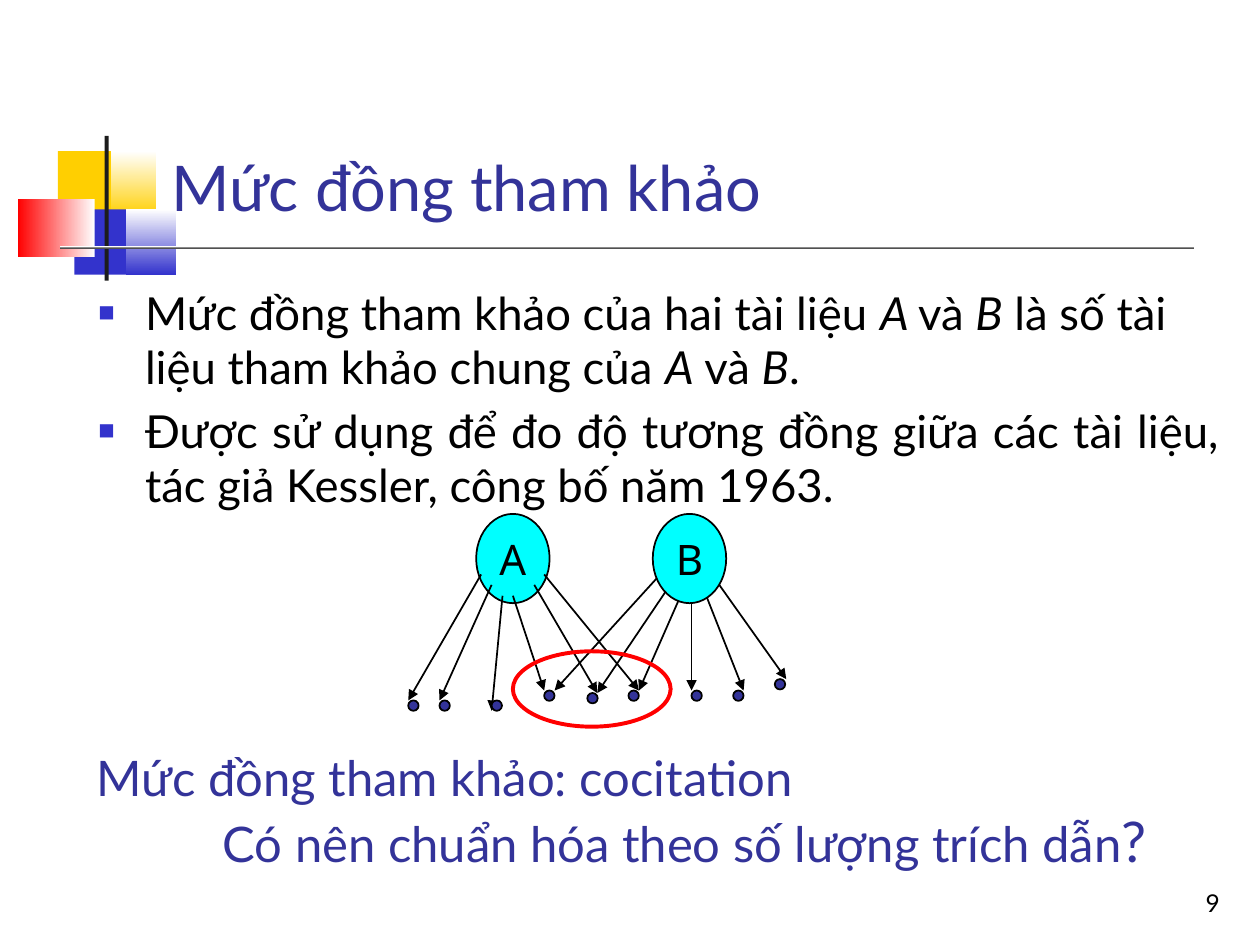
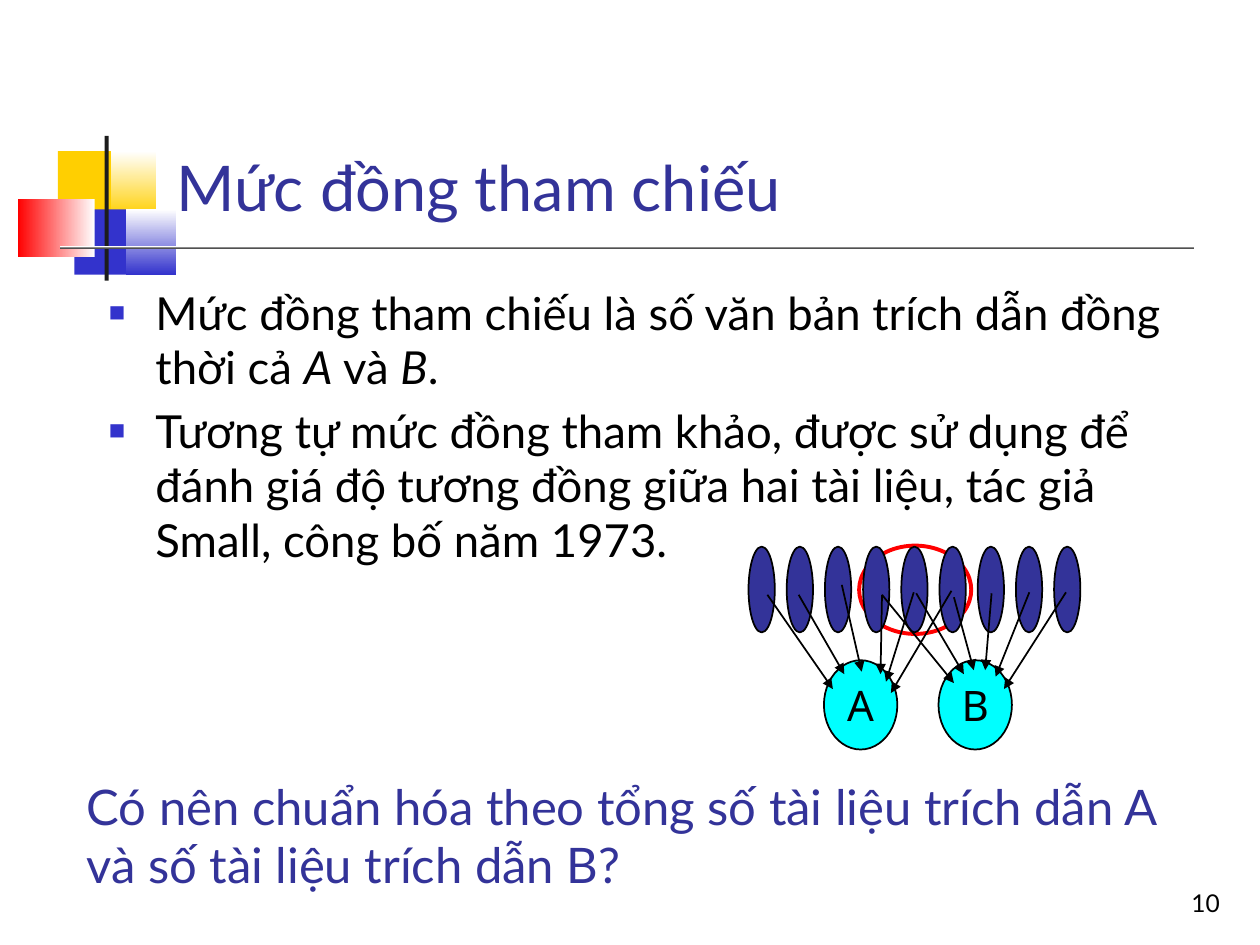
from dataclasses import dataclass
from lxml.etree import SubElement
from pptx import Presentation
from pptx.dml.color import RGBColor
from pptx.enum.shapes import MSO_CONNECTOR, MSO_SHAPE
from pptx.enum.text import MSO_ANCHOR, MSO_AUTO_SIZE, PP_ALIGN
from pptx.oxml.ns import qn
from pptx.util import Cm, Pt


@dataclass(frozen=True)
class Theme:
    font: str = "Lato"
    label_font: str = "Noto Sans"
    title: int = 36
    body: int = 26
    note: int = 28
    mark: int = 32
    label: int = 24
    number: int = 14
    black: str = "000000"
    white: str = "FFFFFF"
    navy: str = "333399"
    blue: str = "3333CC"
    gold: str = "FFCF01"
    red: str = "FF0000"
    cyan: str = "00FFFF"
    dark: str = "1C1C1C"


theme = Theme()


def draw(home, kind, box, fill=None, edge=None, width=1):
    """Add a preset shape; box is left, top, width, height in cm."""
    shape = home.add_shape(kind, *map(Cm, box))
    shape.shadow.inherit = False
    if fill:
        shape.fill.solid()
        shape.fill.fore_color.rgb = RGBColor.from_string(fill)
    else:
        shape.fill.background()
    if edge:
        shape.line.color.rgb = RGBColor.from_string(edge)
        shape.line.width = Pt(width)
    else:
        shape.line.fill.background()
    return shape


def write(para, text, size, color=theme.black, font=theme.font, italic=False):
    """Add one run to a paragraph."""
    run = para.add_run()
    run.text = text
    run.font.name = font
    run.font.size = Pt(size)
    run.font.italic = italic
    run.font.color.rgb = RGBColor.from_string(color)


# Circles for the two documents, as they sit on each slide
ref_a = (9.6, 10.36, 1.48, 1.8, "A")
ref_b = (13.16, 10.36, 1.48, 1.8, "B")
cite_a = (16.61, 13.31, 1.48, 1.8, "A")
cite_b = (18.92, 13.31, 1.48, 1.8, "B")

# Small ovals: dots for cited works, a row of ovals for citing works
dots = [(x, y, 0.21, 0.21) for x, y in (
    (8.23, 14.12), (8.86, 14.12), (9.91, 14.12),
    (10.97, 13.92), (11.84, 13.97), (12.67, 13.92),
    (13.94, 13.92), (14.78, 13.92), (15.62, 13.69))]
row = [(15.09 + 0.77 * i, 11.02, 0.53, 1.73) for i in range(9)]

# Body runs alternate between upright and italic
pages = [
    dict(
        number="9",
        title="Mức đồng tham khảo",
        title_box=(3.2, 0.58, 21.64, 4.06),
        body_box=(1.7, 5.61, 23.16, 5.13),
        body=[
            (PP_ALIGN.LEFT, ["Mức đồng tham khảo của hai tài liệu ", "A ", "và ", "B",
                             " là số tài liệu tham khảo chung của ", "A", " và ", "B", "."]),
            (PP_ALIGN.JUSTIFY, ["Được sử dụng để đo độ tương đồng giữa các tài liệu, "
                                "tác giả Kessler, công bố năm 1963."]),
        ],
        under=[ref_a],
        over=[ref_b],
        ring=(10.34, 13.13, 3.18, 1.52),
        works=dots,
        works_last=True,
        arrows=[
            (10.77, 11.79, 12.04, 13.97), (10.34, 12.01, 10.97, 13.92),
            (10.13, 12.01, 9.91, 14.33), (9.91, 11.79, 8.86, 14.12),
            (13.31, 11.58, 11.18, 13.92), (13.51, 11.79, 12.04, 13.97),
            (13.94, 12.01, 13.94, 13.92), (14.15, 11.79, 14.99, 13.92),
            (14.35, 11.58, 15.85, 13.69), (13.72, 12.01, 12.88, 13.92),
            (10.97, 11.58, 12.88, 13.92), (9.7, 11.58, 8.23, 14.12)],
        note_box=(1.7, 14.94, 23.14, 2.79),
        note=[
            (0, [("Mức đồng tham khảo: cocitation", theme.note)]),
            (2.54, [("Có nên chuẩn hóa theo số lượng trích dẫn", theme.note),
                    ("?", theme.mark)]),
        ],
    ),
    dict(
        number="10",
        title="Mức đồng tham chiếu",
        title_box=(3.3, 0.58, 21.56, 4.06),
        body_box=(1.91, 5.61, 22.99, 4.85),
        body=[
            (PP_ALIGN.LEFT, ["Mức đồng tham chiếu là số văn bản trích dẫn đồng thời cả ",
                             "A", " và ", "B", "."]),
            (PP_ALIGN.LEFT, ["Tương tự mức đồng tham khảo, được sử dụng để đánh giá "
                             "độ tương đồng giữa hai tài liệu, tác giả Small, "
                             "công bố năm 1973."]),
        ],
        under=[cite_a, cite_b],
        over=[],
        ring=(17.32, 11, 2.26, 1.78),
        works=row,
        works_last=False,
        arrows=[
            (15.47, 11.99, 16.79, 13.89), (16.1, 11.99, 17.02, 13.59),
            (16.97, 11.79, 17.37, 13.54), (17.78, 11.99, 17.75, 13.59),
            (17.78, 11.99, 19.23, 13.77), (18.47, 11.96, 19.43, 13.59),
            (19.23, 12.04, 19.63, 13.51), (19.99, 11.96, 19.86, 13.51),
            (20.75, 11.94, 20.07, 13.64), (21.49, 11.94, 20.24, 13.89),
            (18.42, 11.94, 17.86, 13.74), (19.18, 11.91, 17.96, 13.97)],
        note_box=(1.5, 15.52, 22.4, 2.62),
        note=[
            (0, [("Có nên chuẩn hóa theo tổng số tài liệu trích dẫn A "
                  "và số tài liệu trích dẫn B?", theme.note)]),
        ],
    ),
]

# Bands: box, first colour, second colour, gradient angle
bands = [
    ((1.17, 3.05, 1.22, 1.32), theme.gold, None, 0),
    ((2.24, 3.05, 0.91, 1.32), theme.gold, theme.white, 90),
    ((1.5, 4.22, 1.17, 1.32), theme.blue, None, 0),
    ((2.54, 4.22, 1.02, 1.32), theme.blue, theme.white, 90),
    ((0.36, 4.01, 1.55, 1.17), theme.white, theme.red, 180),
    ((2.11, 2.74, 0.08, 2.92), theme.dark, None, 0),
    ((1.22, 4.95, 22.86, 0.08), theme.dark, theme.white, 90),
]

deck = Presentation()
deck.slide_width, deck.slide_height = Cm(25.4), Cm(19.05)
layout = deck.slide_layouts[1]

for page in pages:
    slide = deck.slides.add_slide(layout)

    # Bands are drawn once and moved to the shared layout
    if page is pages[0]:
        for box, first, second, angle in bands:
            band = draw(slide.shapes, MSO_SHAPE.RECTANGLE, box, first)
            if second:
                band.fill.gradient()
                band.fill.gradient_angle = angle
                for stop, color in zip(band.fill.gradient_stops, (first, second)):
                    stop.color.rgb = RGBColor.from_string(color)
                band.fill.gradient_stops[0].position = 0
                band.fill.gradient_stops[1].position = 1
            layout.shapes.element.append(band.element)

    # Slide number
    box = slide.shapes.add_textbox(*map(Cm, (19.56, 17.35, 5.28, 1.27)))
    frame = box.text_frame
    frame.word_wrap = True
    frame.vertical_anchor = MSO_ANCHOR.BOTTOM
    frame.paragraphs[0].alignment = PP_ALIGN.RIGHT
    write(frame.paragraphs[0], page["number"], theme.number)

    # Title
    title, body = slide.shapes.title, slide.placeholders[1]
    for holder, key in ((title, "title_box"), (body, "body_box")):
        holder.left, holder.top, holder.width, holder.height = map(Cm, page[key])
        holder.text_frame.auto_size = MSO_AUTO_SIZE.NONE
    title.text_frame.vertical_anchor = MSO_ANCHOR.BOTTOM
    para = title.text_frame.paragraphs[0]
    para.alignment = PP_ALIGN.LEFT
    write(para, page["title"], theme.title, theme.navy)

    # Bulleted list
    frame = body.text_frame
    frame.vertical_anchor = MSO_ANCHOR.TOP
    for i, (align, runs) in enumerate(page["body"]):
        para = frame.add_paragraph() if i else frame.paragraphs[0]
        props = para._p.get_or_add_pPr()
        props.set("marL", str(Cm(0.97)))
        props.set("indent", str(Cm(-0.94)))
        tint = SubElement(props, qn("a:buClr"))
        SubElement(tint, qn("a:srgbClr")).set("val", theme.blue)
        SubElement(props, qn("a:buSzPct")).set("val", "60000")
        SubElement(props, qn("a:buChar")).set("char", "■")
        para.alignment = align
        para.space_before = Pt(5.2 if i else 0)
        for j, text in enumerate(runs):
            write(para, text, theme.body, italic=j % 2 == 1)

    # Diagram, from back to front
    group = slide.shapes.add_group_shape().shapes
    steps = ["under", "arrows", "ring", "over", "works"]
    if not page["works_last"]:
        steps = ["under", "ring", "works", "arrows"]
    for step in steps:
        if step == "ring":
            draw(group, MSO_SHAPE.OVAL, page["ring"], None, theme.red, 2.25)
        elif step == "works":
            for box in page["works"]:
                draw(group, MSO_SHAPE.OVAL, box, theme.navy, theme.black)
        elif step == "arrows":
            for ends in page["arrows"]:
                arrow = group.add_connector(MSO_CONNECTOR.STRAIGHT, *map(Cm, ends))
                arrow.line.color.rgb = RGBColor.from_string(theme.black)
                arrow.line.width = Pt(1)
                SubElement(arrow.line._get_or_add_ln(), qn("a:tailEnd")).set("type", "triangle")
                SubElement(arrow.element.spPr, qn("a:effectLst"))
        else:
            for *box, name in page[step]:
                oval = draw(group, MSO_SHAPE.OVAL, box, theme.cyan, theme.black)
                frame = oval.text_frame
                frame.word_wrap = False
                frame.vertical_anchor = MSO_ANCHOR.MIDDLE
                frame.paragraphs[0].alignment = PP_ALIGN.CENTER
                write(frame.paragraphs[0], name, theme.label, font=theme.label_font)

    # Closing note
    frame = slide.shapes.add_textbox(*map(Cm, page["note_box"])).text_frame
    frame.word_wrap = True
    for i, (inset, runs) in enumerate(page["note"]):
        para = frame.add_paragraph() if i else frame.paragraphs[0]
        if inset:
            para._p.get_or_add_pPr().set("marL", str(Cm(inset)))
        for text, size in runs:
            write(para, text, size, theme.navy)

deck.save("out.pptx")
